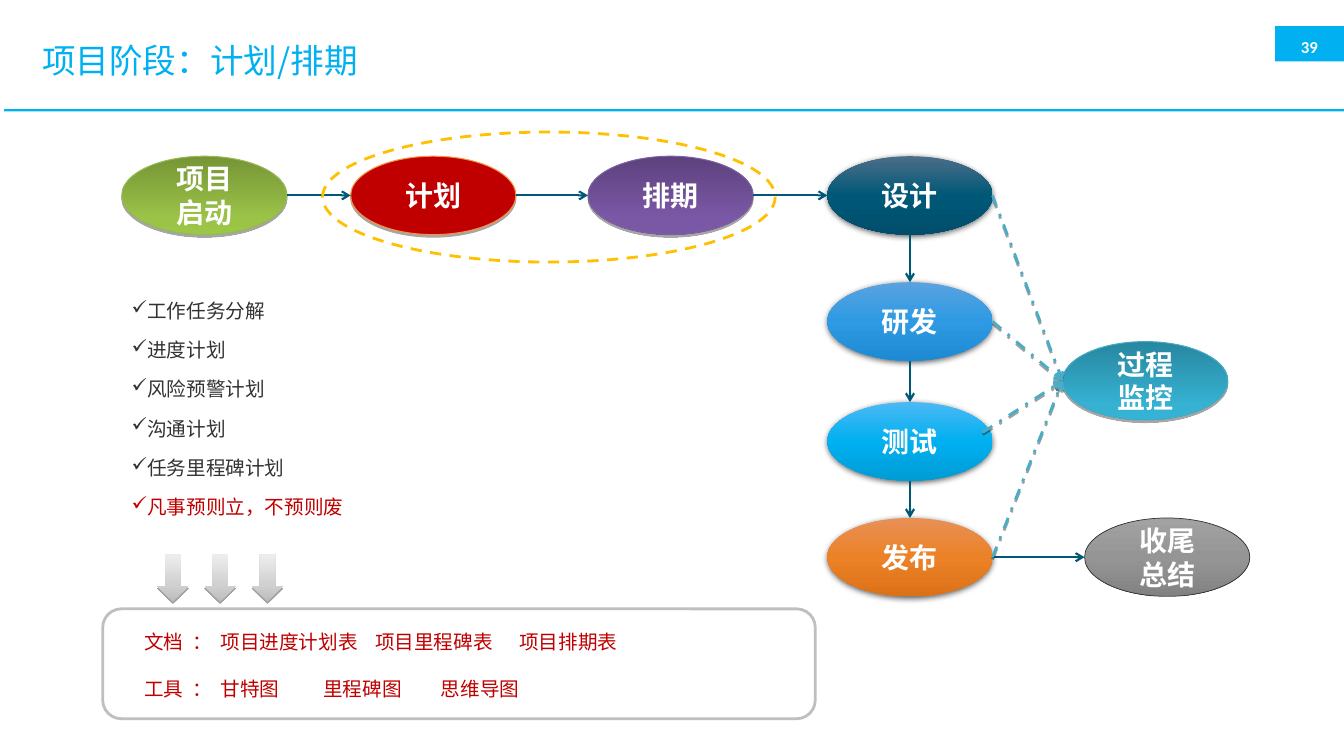
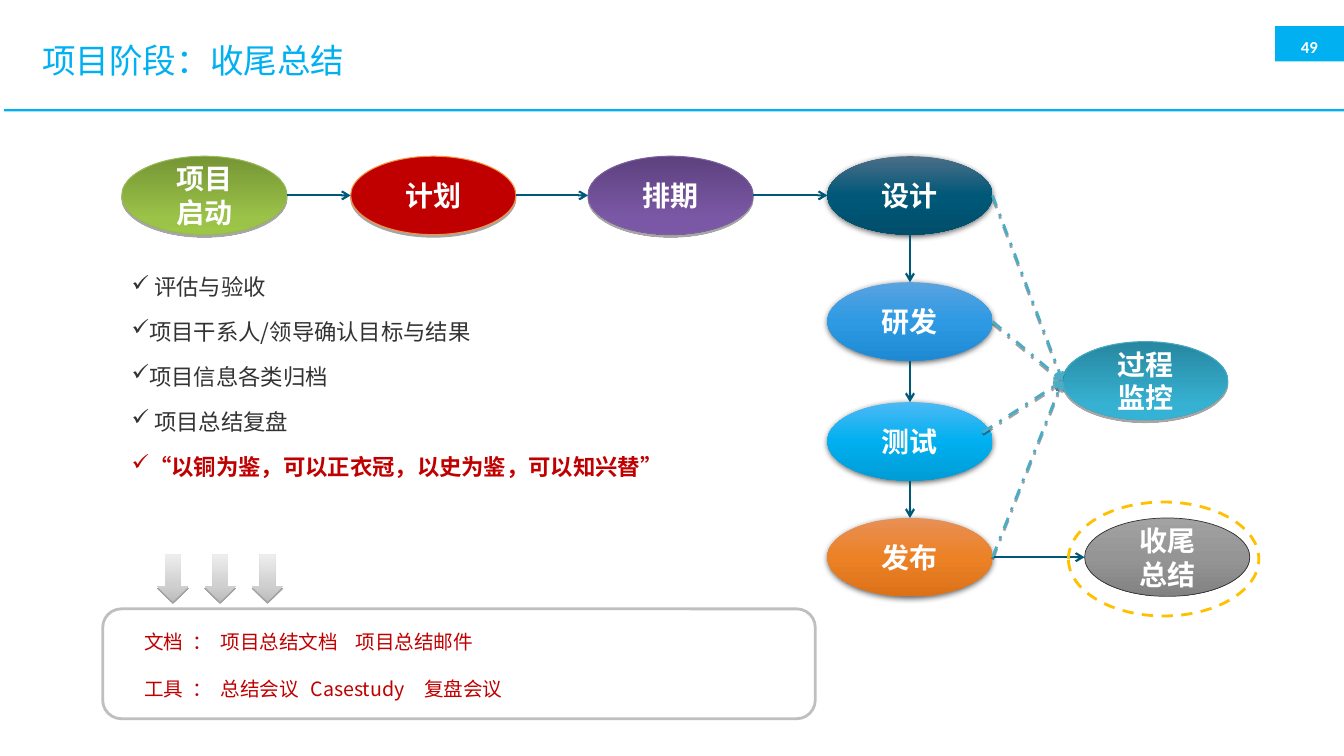
from collections import namedtuple

from lxml.etree import SubElement
from pptx import Presentation
from pptx.dml.color import RGBColor
from pptx.enum.dml import MSO_LINE
from pptx.enum.shapes import MSO_CONNECTOR, MSO_SHAPE
from pptx.enum.text import MSO_ANCHOR, PP_ALIGN
from pptx.oxml.ns import qn
from pptx.util import Pt

CHINESE_FONT = "Noto Sans CJK SC"
NUMBER_FONT = "Calibri"

WHITE = RGBColor(0xFF, 0xFF, 0xFF)
DARK = RGBColor(0x33, 0x33, 0x33)
BLUE = RGBColor(0x00, 0xB0, 0xF0)
NAVY = RGBColor(0x00, 0x58, 0x78)
TEAL = RGBColor(0x4B, 0xAC, 0xC6)
RED = RGBColor(0xC0, 0x00, 0x00)
GOLD = RGBColor(0xFF, 0xC0, 0x00)
SILVER = RGBColor(0xBF, 0xBF, 0xBF)
GREEN_EDGE = RGBColor(0x98, 0xB9, 0x54)
ORANGE_EDGE = RGBColor(0xF6, 0x92, 0x40)
PURPLE_EDGE = RGBColor(0x7D, 0x60, 0xA0)
TEAL_EDGE = RGBColor(0x46, 0xAA, 0xC5)

# Gradients: (position in percent, colour), from top to bottom
GREEN_FADE = [(0, "769535"), (80, "9BC348"), (100, "9CC746")]
PURPLE_FADE = [(0, "5D417E"), (80, "7B58A6"), (100, "7B57A8")]
NAVY_FADE = [(0, "4B6E88"), (50, "005878"), (100, "004E6B")]
AZURE_FADE = [(0, "59A3E0"), (50, "2D9AE3"), (100, "1E8AD3")]
BLUE_FADE = [(0, "4BB9F5"), (50, "00B0F0"), (100, "009CD5")]
ORANGE_FADE = [(0, "E89056"), (50, "EC8126"), (100, "DC7218")]
GREY_FADE = [(0, "A2A2A2"), (50, "959595"), (100, "828282")]
TEAL_FADE = [(0, "2787A0"), (80, "36B1D2"), (100, "34B3D6")]
SILVER_FADE = [(0, "BCBCBC"), (35, "D0D0D0"), (100, "EDEDED")]

# Shadows: opacity in percent, blur and distance in points
Shadow = namedtuple("Shadow", "opacity blur distance")
THIN = Shadow(34, 0, 1.8)
SOFT = Shadow(63, 4.5, 1.5)
FINE = Shadow(37, 0, 1.6)

# Stages of the flow
Stage = namedtuple("Stage", "left top lines fill edge edge_width shadow")
STAGE_WIDTH, STAGE_HEIGHT = 118, 56
ROW_TOP, COLUMN_LEFT, RELEASE_TOP = 111.6, 591, 370
STAGES = {
    "start": Stage(87, ROW_TOP, ["项目", "启动"], GREEN_FADE, GREEN_EDGE, 0.75, THIN),
    "plan": Stage(250.5, ROW_TOP, ["计划"], RED, ORANGE_EDGE, 0.75, THIN),
    "schedule": Stage(420, ROW_TOP, ["排期"], PURPLE_FADE, PURPLE_EDGE, 0.75, THIN),
    "design": Stage(COLUMN_LEFT, ROW_TOP, ["设计"], NAVY_FADE, None, 0, SOFT),
    "build": Stage(COLUMN_LEFT, 201.6, ["研发"], AZURE_FADE, None, 0, SOFT),
    "test": Stage(COLUMN_LEFT, 287.3, ["测试"], BLUE_FADE, None, 0, SOFT),
    "release": Stage(COLUMN_LEFT, RELEASE_TOP, ["发布"], ORANGE_FADE, None, 0, SOFT),
    "closing": Stage(774.7, RELEASE_TOP, ["收尾", "总结"], GREY_FADE, DARK, 0.5, None),
    "control": Stage(759, 244, ["过程", "监控"], TEAL_FADE, TEAL_EDGE, 0.75, THIN),
}
ACROSS = [("start", "plan"), ("plan", "schedule"), ("schedule", "design"),
          ("release", "closing")]
DOWN = [("design", "build"), ("build", "test"), ("test", "release")]
# Offset of each monitored stage's line from its right middle
MONITORED = {"design": (0, 0), "build": (0, 0), "test": (-7, -6.5), "release": (0, 0)}

# Content of each page; resources are (tab stops, entries)
PAGES = [
    dict(
        number="39", title="项目阶段：计划/排期",
        highlight=(230.4, 94.3, 323.3, 92.9),
        list_place=(87, 201.6, 389.5, 186.5), list_size=14, last_bold=False,
        items=["工作任务分解", "进度计划", "风险预警计划", "沟通计划",
               "任务里程碑计划", "凡事预则立，不预则废"],
        resources=[
            ([165, 268], ["文档", "：", "项目进度计划表", "项目里程碑表", "项目排期表"]),
            ([128, 212], ["工具", "：", "甘特图", "里程碑图", "思维导图"]),
        ],
    ),
    dict(
        number="49", title="项目阶段：收尾总结",
        highlight=(763.2, 358.6, 136, 81.4),
        list_place=(87, 182.2, 483, 247), list_size=16, last_bold=True,
        items=[" 评估与验收", "项目干系人/领导确认目标与结果", "项目信息各类归档",
               " 项目总结复盘", "“以铜为鉴，可以正衣冠，以史为鉴，可以知兴替”"],
        resources=[
            ([151], ["文档", "：", "项目总结文档", "项目总结邮件"]),
            ([119, 200], ["工具", "：", "总结会议", "Casestudy", "复盘会议"]),
        ],
    ),
]


def points(*lengths):
    return [Pt(length) for length in lengths]


def add_shadow(element, shadow):
    """Give the element exactly this shadow, or none."""
    properties = element.spPr
    effects = properties.find(qn("a:effectLst"))
    if effects is None:
        effects = SubElement(properties, qn("a:effectLst"))
    if shadow:
        outer = SubElement(effects, qn("a:outerShdw"), blurRad=str(Pt(shadow.blur)),
                           dist=str(Pt(shadow.distance)), dir="5400000",
                           algn="ctr", rotWithShape="0")
        color = SubElement(outer, qn("a:srgbClr"), val="000000")
        SubElement(color, qn("a:alpha"), val=str(shadow.opacity * 1000))


def paint(shape, fill):
    """Fill with one colour, a list of gradient stops, or nothing."""
    if fill is None:
        shape.fill.background()
    elif isinstance(fill, RGBColor):
        shape.fill.solid()
        shape.fill.fore_color.rgb = fill
    else:
        shape.fill.gradient()
        shape.fill.gradient_angle = 270
        stops = shape.element.spPr.find(qn("a:gradFill")).find(qn("a:gsLst"))
        for old_stop in list(stops):
            stops.remove(old_stop)
        for position, color in fill:
            stop = SubElement(stops, qn("a:gs"), pos=str(position * 1000))
            SubElement(stop, qn("a:srgbClr"), val=color)


def add_figure(page, kind, place, fill=None, edge=None, edge_width=0, shadow=None):
    shape = page.shapes.add_shape(kind, *points(*place))
    paint(shape, fill)
    if edge is None:
        shape.line.fill.background()
    else:
        shape.line.color.rgb = edge
        shape.line.width = Pt(edge_width)
    shape.shadow.inherit = False
    add_shadow(shape.element, shadow)
    return shape


def add_box(page, place, anchor=MSO_ANCHOR.TOP):
    frame = page.shapes.add_textbox(*points(*place)).text_frame
    frame.word_wrap = True
    frame.vertical_anchor = anchor
    return frame


def next_para(frame, index):
    return frame.add_paragraph() if index else frame.paragraphs[0]


def add_span(para, text, size, color, bold=False, font=CHINESE_FONT):
    span = para.add_run()
    span.text = text
    span.font.size = Pt(size)
    span.font.bold = bold
    span.font.color.rgb = color
    span.font.name = font
    SubElement(span.font._element, qn("a:ea"), typeface=font)


def add_line(page, begin, end, color, width, dash=None, shadow=None):
    connector = page.shapes.add_connector(MSO_CONNECTOR.STRAIGHT, *points(*begin, *end))
    connector.line.color.rgb = color
    connector.line.width = Pt(width)
    if dash:
        connector.line.dash_style = dash
    SubElement(connector.element.spPr.find(qn("a:ln")), qn("a:tailEnd"), type="arrow")
    add_shadow(connector.element, shadow)


def add_frame(page, title, number):
    """Page number, rule and title."""
    add_figure(page, MSO_SHAPE.RECTANGLE, (910.8, 18.7, 49.2, 25.2), BLUE)
    frame = add_box(page, (918, 21.6, 34.6, 19.4), MSO_ANCHOR.BOTTOM)
    frame.margin_left = frame.margin_right = frame.margin_top = frame.margin_bottom = 0
    para = frame.paragraphs[0]
    para.alignment = PP_ALIGN.CENTER
    add_span(para, number, 12, WHITE, True, NUMBER_FONT)
    add_figure(page, MSO_SHAPE.RECTANGLE, (2.9, 78, 957.1, 1.6), BLUE)
    para = add_box(page, (23, 19.4, 845.3, 50.4), MSO_ANCHOR.MIDDLE).paragraphs[0]
    para.line_spacing = 0.9
    add_span(para, title, 24, BLUE)


def add_stage(page, stage):
    place = (stage.left, stage.top, STAGE_WIDTH, STAGE_HEIGHT)
    shape = add_figure(page, MSO_SHAPE.OVAL, place, stage.fill, stage.edge,
                       stage.edge_width, stage.shadow)
    frame = shape.text_frame
    frame.vertical_anchor = MSO_ANCHOR.MIDDLE
    frame.margin_top = frame.margin_bottom = 0
    for index, line in enumerate(stage.lines):
        para = next_para(frame, index)
        para.alignment = PP_ALIGN.CENTER
        if len(stage.lines) > 1:
            para.line_spacing = Pt(24)
        add_span(para, line, 20, WHITE, True)


def side(name, across, down):
    """A point of the stage, as shares of its width and height."""
    stage = STAGES[name]
    return stage.left + across * STAGE_WIDTH, stage.top + down * STAGE_HEIGHT


def add_flow(page):
    for stage in STAGES.values():
        add_stage(page, stage)
    for source, target in ACROSS:
        add_line(page, side(source, 1, 0.5), side(target, 0, 0.5), NAVY, 1.5)
    for source, target in DOWN:
        add_line(page, side(source, 0.5, 1), side(target, 0.5, 0), NAVY, 1.5)
    for source, (shift_x, shift_y) in MONITORED.items():
        x, y = side(source, 1, 0.5)
        add_line(page, (x + shift_x, y + shift_y), side("control", 0, 0.5),
                 TEAL, 2, MSO_LINE.DASH_DOT, FINE)


def add_highlight(page, place):
    ring = add_figure(page, MSO_SHAPE.OVAL, place, edge=GOLD, edge_width=2)
    ring.line.dash_style = MSO_LINE.DASH


def add_checklist(page, place, items, size, last_bold):
    """Ticked items, the last one in red."""
    frame = add_box(page, place)
    for index, item in enumerate(items):
        last = index == len(items) - 1
        para = next_para(frame, index)
        properties = para._p.get_or_add_pPr()
        indent = Pt(size * 0.77)
        properties.set("marL", str(indent))
        properties.set("indent", str(-indent))
        SubElement(properties, qn("a:buChar"), char="✓")
        para.line_spacing = Pt(size * 1.8)
        if index:
            para.space_before = Pt(size * 0.2)
        add_span(para, item, size, RED if last else DARK, last and last_bold)


def add_resources(page, rows):
    """Arrows down to a framed list of documents and tools."""
    panel = add_figure(page, MSO_SHAPE.ROUNDED_RECTANGLE, (73.4, 434.9, 509, 78.5),
                       edge=SILVER, edge_width=2)
    panel.adjustments[0] = 0.17
    for index in range(3):
        arrow = add_figure(page, MSO_SHAPE.UP_ARROW, (112.3 + index * 33.8, 396, 22.3, 33.8),
                           SILVER_FADE, shadow=FINE)
        arrow.rotation = 180
    frame = add_box(page, (95.8, 446.4, 465, 58.3))
    for index, (stops, entries) in enumerate(rows):
        para = next_para(frame, index)
        tabs = SubElement(para._p.get_or_add_pPr(), qn("a:tabLst"))
        for stop in [34.3, 54.6, *stops]:
            SubElement(tabs, qn("a:tab"), pos=str(Pt(stop)), algn="l")
        para.line_spacing = Pt(16.8)
        if index:
            para.space_before = Pt(16.8)
        add_span(para, "\t".join(entries), 14, RED)


def main():
    deck = Presentation()
    deck.slide_width, deck.slide_height = points(960, 540)
    for content in PAGES:
        page = deck.slides.add_slide(deck.slide_layouts[6])
        add_frame(page, content["title"], content["number"])
        add_flow(page)
        add_highlight(page, content["highlight"])
        add_checklist(page, content["list_place"], content["items"],
                      content["list_size"], content["last_bold"])
        add_resources(page, content["resources"])
    deck.save("out.pptx")


if __name__ == "__main__":
    main()
